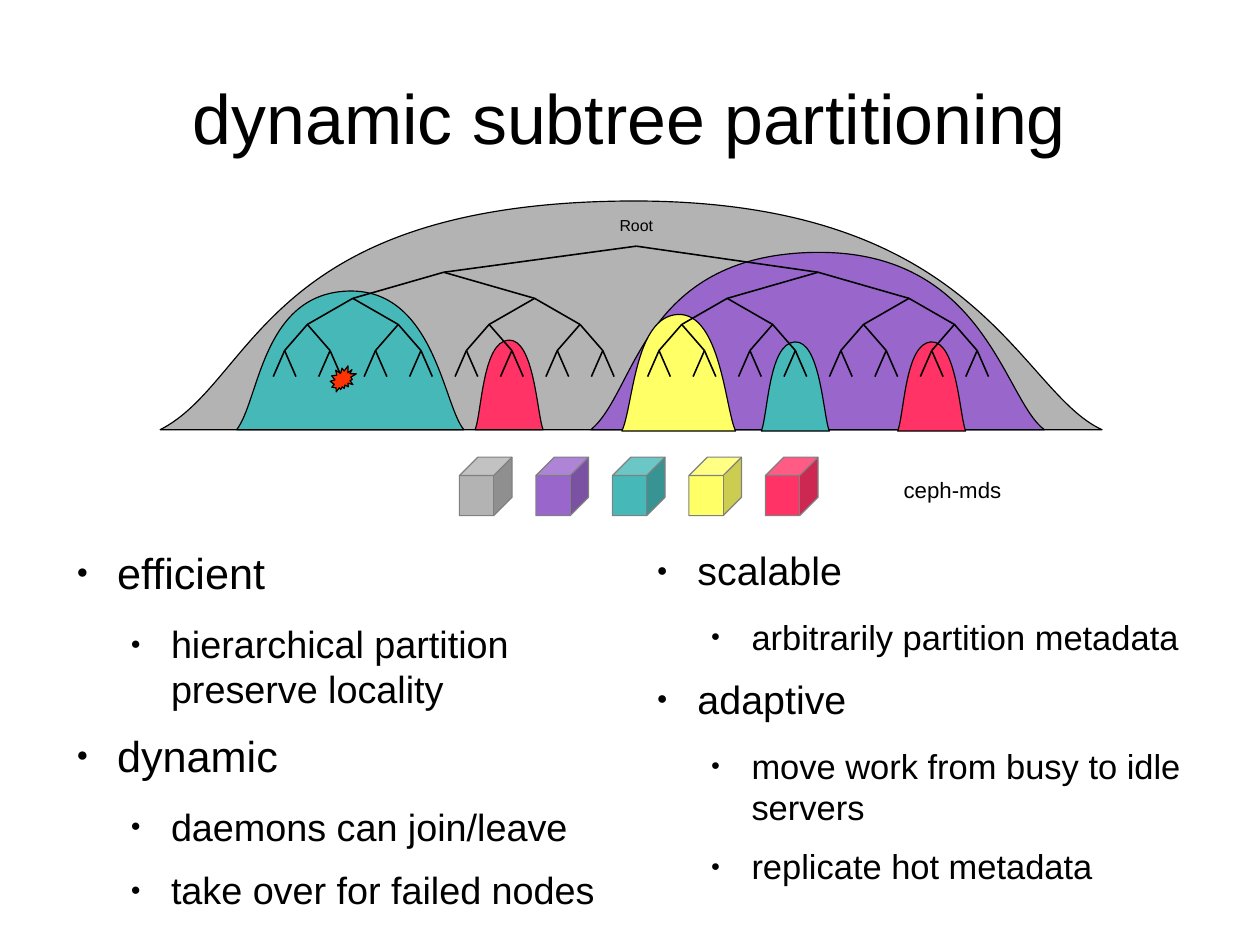
from lxml.etree import SubElement
from pptx import Presentation
from pptx.dml.color import RGBColor
from pptx.enum.shapes import MSO_CONNECTOR, MSO_SHAPE
from pptx.enum.text import MSO_ANCHOR, MSO_AUTO_SIZE, PP_ALIGN
from pptx.oxml.ns import qn
from pptx.util import Cm, Pt

BLACK = RGBColor(0x00, 0x00, 0x00)
GRAY = RGBColor(0xB3, 0xB3, 0xB3)
PURPLE = RGBColor(0x99, 0x66, 0xCC)
TEAL = RGBColor(0x47, 0xB8, 0xB8)
YELLOW = RGBColor(0xFF, 0xFF, 0x66)
RED = RGBColor(0xFF, 0x33, 0x66)
ORANGE = RGBColor(0xFF, 0x33, 0x00)
CUBE_EDGE = RGBColor(0x80, 0x80, 0x80)
FONT = "Arial"

TITLE = "dynamic subtree partitioning"
LEFT_LIST = [
    (0, "efficient"),
    (1, "hierarchical partition preserve locality"),
    (0, "dynamic"),
    (1, "daemons can join/leave"),
    (1, "take over for failed nodes"),
]
RIGHT_LIST = [
    (0, "scalable"),
    (1, "arbitrarily partition metadata"),
    (0, "adaptive"),
    (1, "move work from busy to idle servers"),
    (1, "replicate hot metadata"),
]
COLUMNS = [
    (1.4, LEFT_LIST, (27.2, 23.8)),
    (14.3, RIGHT_LIST, (24.8, 21.7)),
]
LOWER_HILLS = [
    (3.56, 4.47, 20.93, 9.55, GRAY),
    (5.26, 6.47, 5.05, 9.55, TEAL),
    (13.13, 5.61, 10.08, 9.55, PURPLE),
    (13.82, 6.99, 2.53, 9.58, YELLOW),
    (10.56, 7.56, 1.51, 9.55, RED),
]
UPPER_HILLS = [
    (19.95, 7.6, 1.51, 9.58, RED),
    (16.92, 7.6, 1.51, 9.58, TEAL),
]
HILL_PROFILE = [
    (0.91, 0.17), (0.87, 1.02), (0.49, 1),
    (0.11, 0.98), (0.1, 0.21), (0, 0),
]
ROOT = (14.14, 5.47)
MAIN_BRANCHES = (9.86, 18.18)
LEVEL_HEIGHT = 0.58
FIRST_SPREAD = 2.02
TREE_DEPTH = 4
ROOT_LABEL = ("Root", 10, PP_ALIGN.CENTER, (13.51, 4.66, 1.26, 0.66))
SERVER_LABEL = ("ceph-mds", 14, PP_ALIGN.LEFT, (19.83, 10.46, 2.7, 0.81))
SERVER_COLORS = [GRAY, PURPLE, TEAL, YELLOW, RED]


def place(shape, left, top, width, height):
    shape.left, shape.top = Cm(left), Cm(top)
    shape.width, shape.height = Cm(width), Cm(height)


def clear_margins(frame):
    frame.margin_left = frame.margin_right = 0
    frame.margin_top = frame.margin_bottom = 0


def add_text(paragraph, text, size):
    run = paragraph.add_run()
    run.text = text
    run.font.size = Pt(size)
    run.font.name = FONT
    run.font.color.rgb = BLACK


def paint(shape, fill, line=BLACK, width=0.75):
    shape.shadow.inherit = False
    shape.fill.solid()
    shape.fill.fore_color.rgb = fill
    shape.line.color.rgb = line
    shape.line.width = Pt(width)


def bend_segments(shape):
    segments = list(shape._element.iter(qn("a:lnTo")))
    for first in range(0, len(segments), 3):
        curve = segments[first].makeelement(qn("a:cubicBezTo"))
        segments[first].addprevious(curve)
        for segment in segments[first:first + 3]:
            curve.append(segment[0])
            segment.getparent().remove(segment)


def add_hill(slide, left, top, width, base, color):
    points = [(Cm(left + x * width), Cm(base - y * (base - top))) for x, y in HILL_PROFILE]
    builder = slide.shapes.build_freeform(Cm(left + width), Cm(base))
    builder.add_line_segments(points, close=True)
    hill = builder.convert_to_shape()
    bend_segments(hill)
    paint(hill, color)


def add_branch(slide, start, end):
    ends = [Cm(value) for value in (*start, *end)]
    branch = slide.shapes.add_connector(MSO_CONNECTOR.STRAIGHT, *ends)
    branch.line.color.rgb = BLACK
    branch.line.width = Pt(1)
    SubElement(branch._element.spPr, qn("a:effectLst"))


def add_subtree(slide, x, y, spread, depth):
    if depth == 0:
        return
    for child_x in (x - spread, x + spread):
        child = (child_x, y + LEVEL_HEIGHT)
        add_branch(slide, (x, y), child)
        add_subtree(slide, *child, spread / 2, depth - 1)


def add_bullet(paragraph, level):
    properties = paragraph._p.get_or_add_pPr()
    properties.set("marL", str(Cm((1.2, 2.4)[level])))
    properties.set("indent", str(Cm(-0.9)))
    color = SubElement(properties, qn("a:buClr"))
    SubElement(color, qn("a:srgbClr"), val=str(BLACK))
    SubElement(properties, qn("a:buSzPct"), val="45000")
    SubElement(properties, qn("a:buFont"), typeface=FONT)
    SubElement(properties, qn("a:buChar"), char="●")


def fill_list(placeholder, left, items, sizes):
    place(placeholder, left, 12.14, 12.29, 6.6)
    frame = placeholder.text_frame
    clear_margins(frame)
    frame.auto_size = MSO_AUTO_SIZE.NONE
    frame.vertical_anchor = MSO_ANCHOR.TOP
    for index, (level, text) in enumerate(items):
        paragraph = frame.add_paragraph() if index else frame.paragraphs[0]
        paragraph.level = level
        add_bullet(paragraph, level)
        paragraph.space_before = Pt(0)
        paragraph.space_after = Pt((14.1, 11.3)[level])
        add_text(paragraph, text, sizes[level])


def add_label(slide, text, size, alignment, box):
    label = slide.shapes.add_textbox(*[Cm(value) for value in box])
    label.text_frame.word_wrap = False
    label.text_frame.auto_size = MSO_AUTO_SIZE.SHAPE_TO_FIT_TEXT
    paragraph = label.text_frame.paragraphs[0]
    paragraph.alignment = alignment
    add_text(paragraph, text, size)


def main():
    presentation = Presentation()
    presentation.slide_width, presentation.slide_height = Cm(28), Cm(21)
    slide = presentation.slides.add_slide(presentation.slide_layouts[3])

    title = slide.shapes.title
    place(title, 1.4, 0.84, 25.2, 3.51)
    clear_margins(title.text_frame)
    title.text_frame.vertical_anchor = MSO_ANCHOR.MIDDLE
    title.text_frame.paragraphs[0].alignment = PP_ALIGN.CENTER
    add_text(title.text_frame.paragraphs[0], TITLE, 44)

    for index, column in enumerate(COLUMNS, start=1):
        fill_list(slide.placeholders[index], *column)

    for hill in LOWER_HILLS:
        add_hill(slide, *hill)
    add_label(slide, *ROOT_LABEL)
    for hill in UPPER_HILLS:
        add_hill(slide, *hill)

    for x in MAIN_BRANCHES:
        branch = (x, ROOT[1] + LEVEL_HEIGHT)
        add_branch(slide, ROOT, branch)
        add_subtree(slide, *branch, FIRST_SPREAD, TREE_DEPTH)

    hot_spot = slide.shapes.add_shape(
        MSO_SHAPE.EXPLOSION2, Cm(7.34), Cm(8.13), Cm(0.58), Cm(0.58))
    paint(hot_spot, ORANGE)
    for index, color in enumerate(SERVER_COLORS):
        server = slide.shapes.add_shape(
            MSO_SHAPE.CUBE, Cm(10.21 + 1.7 * index), Cm(10.16), Cm(1.17), Cm(1.3))
        server.adjustments[0] = 0.35
        paint(server, color, CUBE_EDGE, 0)
    add_label(slide, *SERVER_LABEL)

    presentation.save("out.pptx")


if __name__ == "__main__":
    main()
